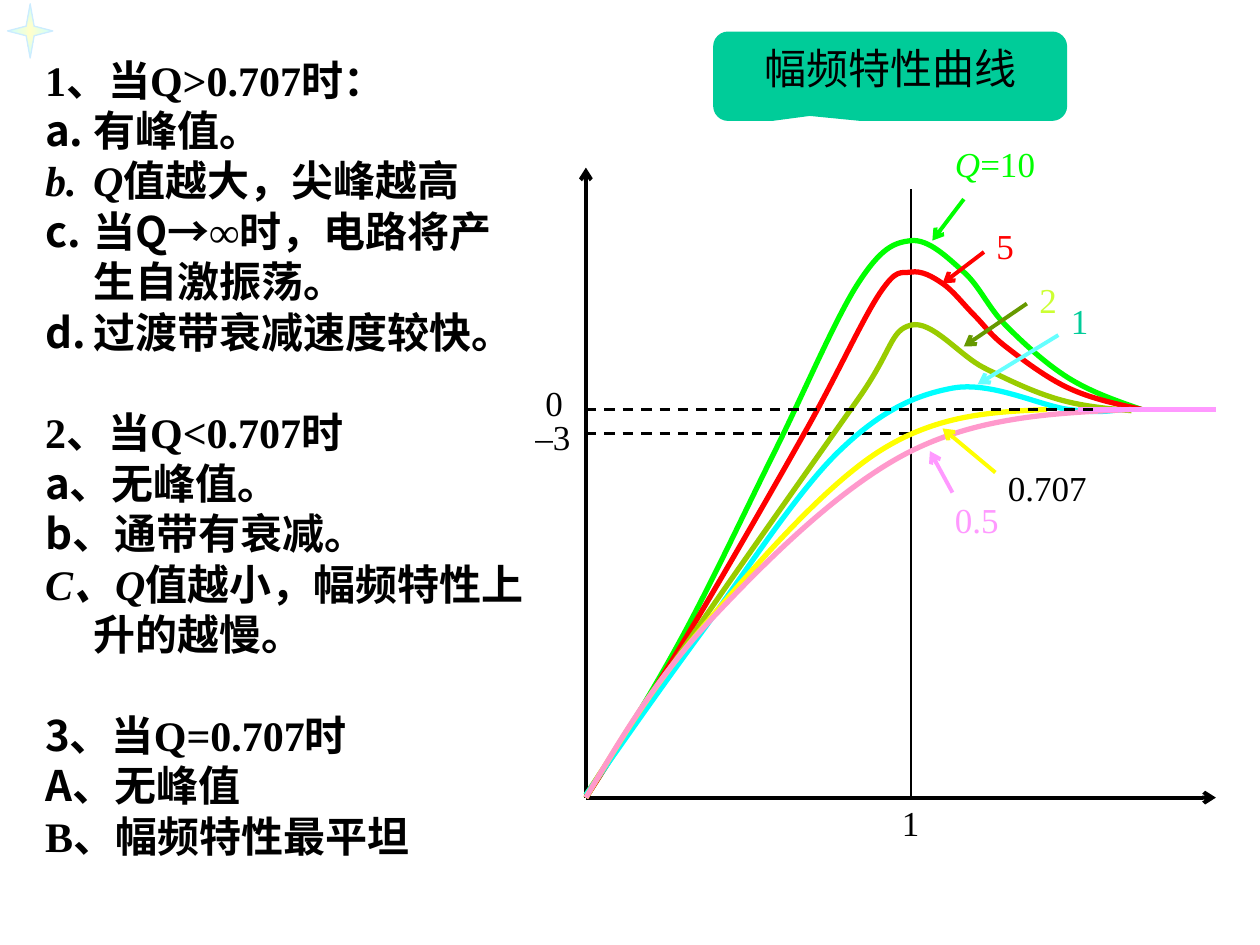
from lxml import etree
from pptx import Presentation
from pptx.dml.color import RGBColor
from pptx.enum.dml import MSO_LINE
from pptx.enum.shapes import MSO_CONNECTOR, MSO_SHAPE
from pptx.enum.text import MSO_ANCHOR, PP_ALIGN
from pptx.oxml.ns import qn
from pptx.util import Pt

SERIF, SANS = "Times New Roman", "Noto Sans CJK SC"
COLORS = {
    "black": "000000", "teal": "00CC99", "green": "00FF00", "red": "FF0000",
    "olive": "99CC00", "lime": "CCFF33", "moss": "669900", "cyan": "00FFFF",
    "sky": "66FFFF", "yellow": "FFFF00", "rose": "FF99CC", "pink": "FF99FF",
    "star_core": "FFFFCC", "star_tip": "CCFFFF", "star_edge": "CCECFF",
}

TITLE = "幅频特性曲线"

# Each section is a list of (lettered, runs); a run is (text, font, italic).
SECTIONS = [
    [(False, [("1、当Q>0.707时：", SERIF, False)]),
     (True, [("有峰值。", SANS, False)]),
     (True, [("Q", SERIF, True), ("值越大，尖峰越高", SANS, False)]),
     (True, [("当Q→", SANS, False), ("∞", SERIF, False),
             ("时，电路将产生自激振荡。", SANS, False)]),
     (True, [("过渡带衰减", SANS, False), ("速度较快。", SERIF, False)])],
    [(False, [("2、", SERIF, False), ("当", SANS, False), ("Q<0.707时", SERIF, False)]),
     (False, [("a、无峰值。", SANS, False)]),
     (False, [("b、通带有衰减。", SANS, False)]),
     (False, [("C、Q", SERIF, True), ("值越小，幅频特性上升的越慢。", SANS, False)])],
    [(False, [("3、当", SANS, False), ("Q=0.707时", SERIF, False)]),
     (False, [("A、无峰值", SANS, False)]),
     (False, [("B、", SERIF, False), ("幅频特性最平坦", SANS, False)])],
]

# Plot landmarks
ORIGIN_X, ORIGIN_Y = 334.8, 455.8
RESONANCE_X, ZERO_DB_Y, MINUS_3DB_Y = 520.6, 234, 247.7
AXIS_END_X, AXIS_TOP_Y = 694.8, 95.8
ORIGIN = (ORIGIN_X, ORIGIN_Y)

# Points that each response curve passes through
CURVES = [
    ("green", [ORIGIN, (388.8, 365.8), (442.8, 257.8), (490.3, 162), (RESONANCE_X, 137.5),
               (550.8, 155.5), (574.6, 185.8), (610.6, 216), (652.3, ZERO_DB_Y)]),
    ("red", [ORIGIN, (394.6, 360), (460.8, 245.5), (502.6, 167.8), (RESONANCE_X, 155.5),
             (538.6, 162), (556.6, 180), (574.6, 198), (610.6, 221.8), (652.3, ZERO_DB_Y)]),
    ("olive", [(ORIGIN_X, 454.3), (400.3, 356.4), (490.3, 228.2), (RESONANCE_X, 185.8),
               (562.3, 210.2), (604.8, 228.2), (646.6, 234.7)]),
    ("cyan", [(ORIGIN_X, 454.3), (400.3, 362.2), (478.8, 258.5), (544.3, 221.8),
              (610.6, ZERO_DB_Y), (640.8, ZERO_DB_Y)]),
    ("yellow", [ORIGIN, (400.3, 360), (502.6, 257.8), (598.3, ZERO_DB_Y)]),
    ("rose", [ORIGIN, (406.8, 353.5), (RESONANCE_X, 257.8), (646.6, ZERO_DB_Y)]),
]

# Labels: (runs, colour, left, top, width)
AXIS_LABELS = [
    ([("1", False)], "black", 508.3, 454.3, 30.2),
    ([("0", False)], "black", 304.6, 214.6, 48.2),
    ([("–3", False)], "black", 298.8, 234, 48.2),
]
Q_LABELS = [
    ([("Q", True), ("=10", False)], "green", 538.6, 77.8, 95.8),
    ([("5", False)], "red", 562.3, 124.6, 30.2),
    ([("2", False)], "lime", 586.8, 155.5, 30.2),
    ([("1", False)], "teal", 604.8, 167.8, 30.2),
    ([("0.707", False)], "black", 568.8, 262.8, 72),
    ([("0.5", False)], "pink", 538.6, 281.5, 41.8),
]
# Pointers from label to curve: (colour, start, end)
POINTERS = [
    ("green", (550.8, 113.8), (532.8, 137.5)),
    ("red", (562.3, 144), (538.6, 162)),
    ("moss", (586.8, 173.5), (550.8, 198)),
    ("sky", (604.8, 191.5), (558.7, 219.6)),
    ("yellow", (568.8, 270), (538.6, 244.8)),
    ("pink", (544.3, 281.5), (531.4, 257.8)),
]


def rgb(name):
    return RGBColor.from_string(COLORS[name])


def add_line(slide, start, end, color, width, arrow=False, dashed=False):
    connector = slide.shapes.add_connector(
        MSO_CONNECTOR.STRAIGHT, *(Pt(v) for v in (*start, *end)))
    connector.line.color.rgb = rgb(color)
    connector.line.width = Pt(width)
    if dashed:
        connector.line.dash_style = MSO_LINE.DASH
    if arrow:
        etree.SubElement(connector.line._get_or_add_ln(), qn("a:tailEnd"), type="arrow")
    etree.SubElement(connector._element.spPr, qn("a:effectLst"))


def bezier_segments(knots):
    """Return two handles and an end per segment, with tangents parallel to the neighbours' chord."""
    def middle(a, b):
        return tuple((p + q) / 2 for p, q in zip(a, b))

    def handle(i, sign):
        return tuple(k + sign * (n - p) / 6
                     for k, p, n in zip(knots[i], knots[i - 1], knots[i + 1]))

    segments = []
    last = len(knots) - 1
    for i in range(last):
        start, end = knots[i], knots[i + 1]
        leaving = handle(i, 1) if i > 0 else middle(start, handle(1, -1))
        arriving = handle(i + 1, -1) if i + 1 < last else middle(leaving, end)
        segments.append((leaving, arriving, end))
    return segments


def add_curve(slide, color, knots):
    points = [(Pt(x), Pt(y)) for x, y in knots]
    builder = slide.shapes.build_freeform(*points[0])
    builder.add_line_segments(points[1:], close=False)
    curve = builder.convert_to_shape()
    straight_parts = list(curve._element.iter(qn("a:lnTo")))
    for straight, segment in zip(straight_parts, bezier_segments(knots)):
        bend = etree.Element(qn("a:cubicBezTo"))
        for x, y in segment:
            etree.SubElement(bend, qn("a:pt"),
                             x=str(Pt(x) - curve.left), y=str(Pt(y) - curve.top))
        straight.getparent().replace(straight, bend)
    curve.shadow.inherit = False
    curve.fill.background()
    curve.line.color.rgb = rgb(color)
    curve.line.width = Pt(3)


def add_label(slide, runs, color, left, top, width):
    label = slide.shapes.add_textbox(Pt(left), Pt(top), Pt(width), Pt(31))
    label.text_frame.word_wrap = True
    paragraph = label.text_frame.paragraphs[0]
    font = paragraph.font
    font.size, font.name, font.color.rgb = Pt(20), SERIF, rgb(color)
    for text, italic in runs:
        run = paragraph.add_run()
        run.text = text
        if italic:
            run.font.italic = True


def add_star(slide):
    star = slide.shapes.add_shape(MSO_SHAPE.STAR_4_POINT, Pt(4.3), Pt(2.2), Pt(25.9), Pt(31))
    star.adjustments[0] = 0.125
    star.shadow.inherit = False
    star.fill.gradient()
    for stop, color in zip(star.fill.gradient_stops, ("star_core", "star_tip")):
        stop.color.rgb = rgb(color)
    linear = star._element.spPr.find(qn("a:gradFill")).find(qn("a:lin"))
    radial = etree.Element(qn("a:path"), {"path": "shape"})
    etree.SubElement(radial, qn("a:fillToRect"), dict.fromkeys("ltrb", "50000"))
    linear.getparent().replace(linear, radial)
    star.line.color.rgb = rgb("star_edge")
    star.line.width = Pt(0)


def add_title(slide):
    callout = slide.shapes.add_shape(
        MSO_SHAPE.ROUNDED_RECTANGULAR_CALLOUT, Pt(407.5), Pt(18), Pt(202.3), Pt(51.1))
    for i, value in enumerate((-0.227, 0.444, 0.167)):
        callout.adjustments[i] = value
    callout.shadow.inherit = False
    callout.fill.solid()
    callout.fill.fore_color.rgb = rgb("teal")
    callout.line.fill.background()
    callout.text_frame.vertical_anchor = MSO_ANCHOR.TOP
    paragraph = callout.text_frame.paragraphs[0]
    paragraph.text = TITLE
    paragraph.alignment = PP_ALIGN.CENTER
    font = paragraph.font
    font.size, font.name, font.color.rgb = Pt(24), SERIF, rgb("black")


def add_notes_column(slide):
    size, pitch, indent = 24, 28.8, 27.4
    frame = slide.shapes.add_textbox(Pt(18.7), Pt(27.4), Pt(290.2), Pt(501.8)).text_frame
    frame.word_wrap = True
    paragraph = frame.paragraphs[0]
    for s, section in enumerate(SECTIONS):
        for i, (lettered, runs) in enumerate(section):
            if s or i:
                paragraph = frame.add_paragraph()
            paragraph.line_spacing = Pt(pitch)
            if s and i == 0:
                paragraph.space_before = Pt(pitch)
            props = paragraph._p.get_or_add_pPr()
            props.set("marL", str(Pt(indent)))
            props.set("indent", str(-Pt(indent)))
            if lettered:
                etree.SubElement(props, qn("a:buAutoNum"), type="alphaLcPeriod")
            font = paragraph.font
            font.size, font.bold, font.color.rgb = Pt(size), True, rgb("black")
            for text, face, italic in runs:
                run = paragraph.add_run()
                run.text = text
                run.font.name = face
                if italic:
                    run.font.italic = True


def main():
    deck = Presentation()
    deck.slide_width, deck.slide_height = Pt(720), Pt(540)
    slide = deck.slides.add_slide(deck.slide_layouts[6])
    add_star(slide)
    add_title(slide)
    add_line(slide, ORIGIN, (AXIS_END_X, ORIGIN_Y), "black", 2.25, arrow=True)
    add_line(slide, ORIGIN, (ORIGIN_X, AXIS_TOP_Y), "black", 2.25, arrow=True)
    add_line(slide, (RESONANCE_X, ORIGIN_Y), (RESONANCE_X, 108), "black", 1.5)
    add_line(slide, (ORIGIN_X, MINUS_3DB_Y), (RESONANCE_X, MINUS_3DB_Y), "black", 1.5, dashed=True)
    for color, knots in CURVES:
        add_curve(slide, color, knots)
    for label in AXIS_LABELS + Q_LABELS:
        add_label(slide, *label)
    for color, start, end in POINTERS:
        add_line(slide, start, end, color, 2.25, arrow=True)
    add_line(slide, (616.3, ZERO_DB_Y), (AXIS_END_X, ZERO_DB_Y), "pink", 3)
    add_line(slide, (ORIGIN_X, ZERO_DB_Y), (625.7, ZERO_DB_Y), "black", 1.5, dashed=True)
    add_notes_column(slide)
    deck.save("out.pptx")


if __name__ == "__main__":
    main()
